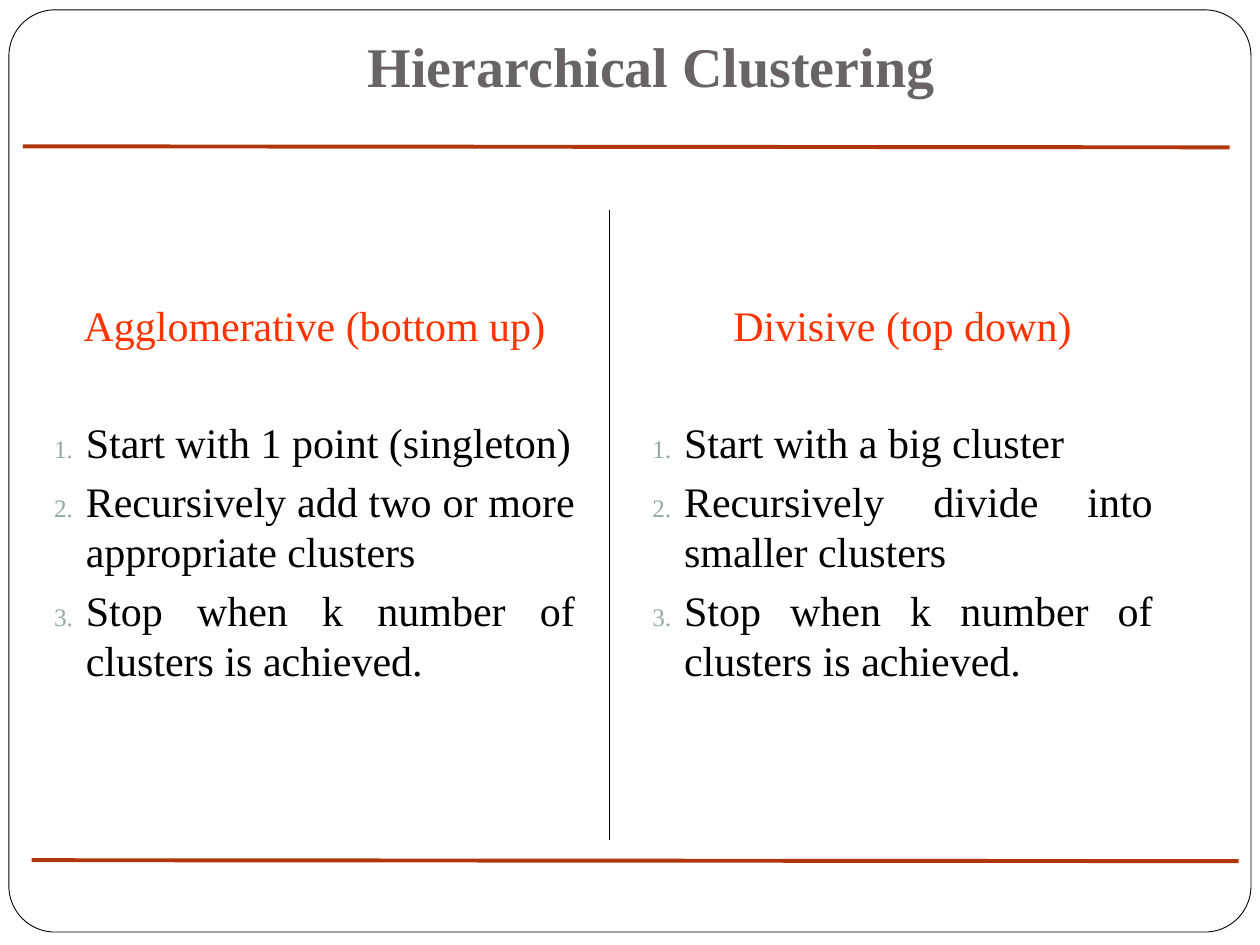
from lxml import etree
from pptx import Presentation
from pptx.dml.color import RGBColor
from pptx.enum.shapes import MSO_CONNECTOR, MSO_SHAPE
from pptx.enum.text import MSO_ANCHOR, PP_ALIGN
from pptx.oxml.ns import qn
from pptx.util import Cm, Pt

CENTER, JUSTIFY = PP_ALIGN.CENTER, PP_ALIGN.JUSTIFY
FONT = "Times New Roman"
COLORS = {"title": "696464", "heading": "FF3300", "text": "000000",
          "number": "96A9A9", "rule": "B1360B", "frame": "000000", "paper": "FFFFFF"}

TITLE = "Hierarchical Clustering"
# left, top, width, height in cm, heading indent, heading, steps
COLUMNS = [
    ((0.84, 5.92, 11, 10.16), "Agglomerative (bottom up)",
     ["Start with 1 point (singleton)",
      "Recursively add two or more appropriate clusters",
      "Stop when k number of clusters is achieved."]),
    ((12.9, 5.92, 10.59, 9.53), "Divisive (top down)",
     ["Start with a big cluster",
      "Recursively divide into smaller clusters",
      "Stop when k number of clusters is achieved."]),
]
# x1, y1, x2, y2 in cm, colour, width in points
LINES = [
    (12.28, 4.23, 12.28, 16.93, "frame", 0.75),
    (0.46, 2.95, 24.79, 2.97, "rule", 2.25),
    (0.64, 17.34, 24.97, 17.36, "rule", 2.25),
]
HEADING_FORMAT = {"alignment": CENTER, "space_before": Pt(0), "space_after": Pt(33)}
STEP_FORMAT = {"alignment": JUSTIFY, "space_before": Pt(4.8)}
INDENT = Cm(0.64)


def rgb(name):
    return RGBColor.from_string(COLORS[name])


def write(p, text, color, size, bold=False, **paragraph_format):
    for key, value in paragraph_format.items():
        setattr(p, key, value)
    r = p.add_run()
    r.text = text
    for key, value in {"name": FONT, "size": Pt(size), "bold": bold}.items():
        setattr(r.font, key, value)
    r.font.color.rgb = rgb(color)


def number(p):
    pPr = p._p.get_or_add_pPr()
    pPr.set("marL", str(INDENT))
    pPr.set("indent", str(-INDENT))
    color = etree.SubElement(pPr, qn("a:buClr"))
    etree.SubElement(color, qn("a:srgbClr"), val=COLORS["number"])
    etree.SubElement(pPr, qn("a:buSzPct"), val="60000")
    etree.SubElement(pPr, qn("a:buFont"), typeface=FONT)
    etree.SubElement(pPr, qn("a:buAutoNum"), type="arabicPeriod")


prs = Presentation()
prs.slide_width, prs.slide_height = Cm(25.4), Cm(19.05)
s = prs.slides.add_slide(prs.slide_layouts[5])

# Rounded frame, behind the title
frame = s.shapes.add_shape(MSO_SHAPE.ROUNDED_RECTANGLE,
                           Cm(0.18), Cm(0.2), Cm(25.04), Cm(18.59))
frame.adjustments[0] = 0.05
frame.shadow.inherit = False
frame.fill.solid()
frame.fill.fore_color.rgb = rgb("paper")
frame.line.color.rgb = rgb("frame")
frame.line.width = Pt(0.5)

# Title
title = s.shapes.title
title._element.addprevious(frame._element)
title.left, title.top, title.width, title.height = Cm(2.34), Cm(0.64), Cm(21.59), Cm(1.6)
tf = title.text_frame
tf.vertical_anchor = MSO_ANCHOR.BOTTOM
tf.margin_bottom = Cm(0.25)
write(tf.paragraphs[0], TITLE, "title", 32, True, alignment=CENTER)

# Two columns: heading and numbered steps
for box, heading, steps in COLUMNS:
    tf = s.shapes.add_textbox(*map(Cm, box)).text_frame
    tf.word_wrap = True
    write(tf.paragraphs[0], heading, "heading", 24, **HEADING_FORMAT)
    for step in steps:
        p = tf.add_paragraph()
        write(p, step, "text", 24, **STEP_FORMAT)
        number(p)

# Divider and rules
for x1, y1, x2, y2, color, width in LINES:
    line = s.shapes.add_connector(MSO_CONNECTOR.STRAIGHT, Cm(x1), Cm(y1), Cm(x2), Cm(y2))
    line.line.color.rgb = rgb(color)
    line.line.width = Pt(width)
    etree.SubElement(line._element.spPr, qn("a:effectLst"))

prs.save("out.pptx")
